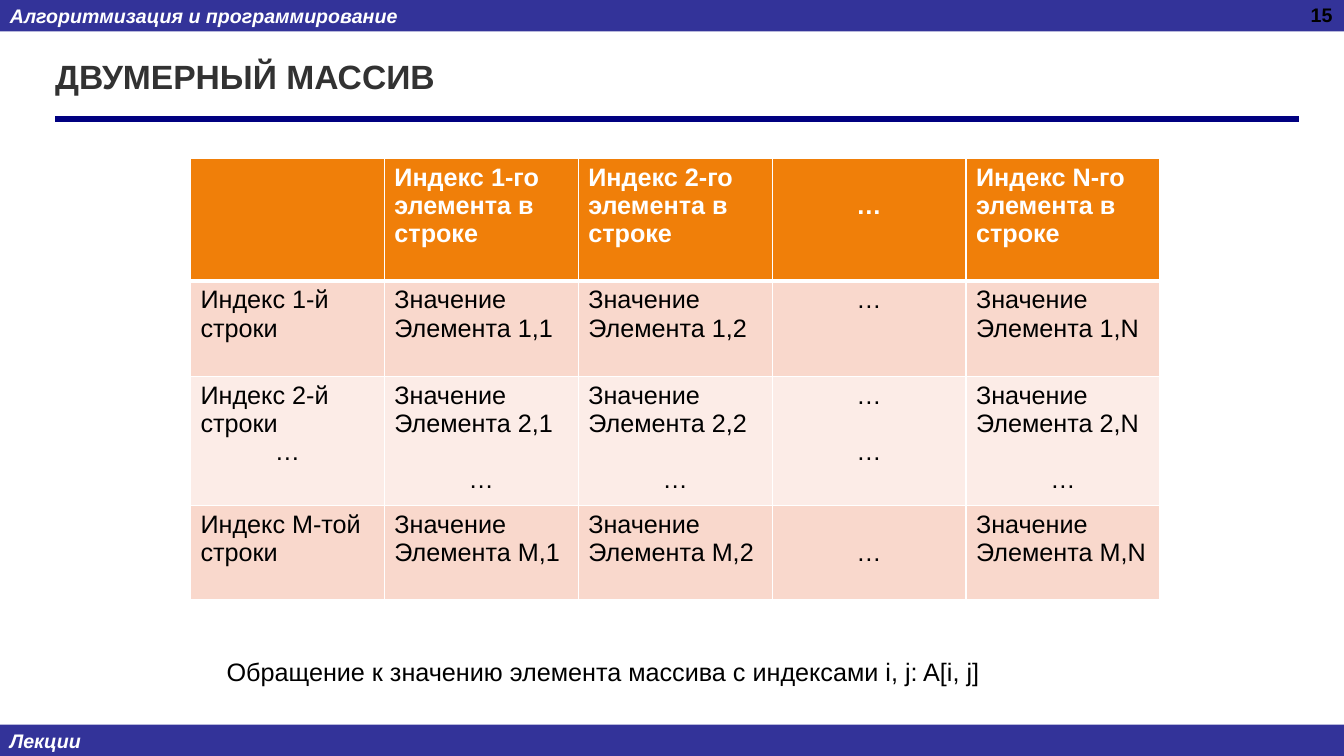
import pptx
import pptx.dml.color
import pptx.enum.shapes
import pptx.enum.text
import pptx.oxml.ns
import pptx.util
from lxml import etree

Cm, Pt = pptx.util.Cm, pptx.util.Pt
RGBColor = pptx.dml.color.RGBColor
ALIGN = pptx.enum.text.PP_ALIGN
ANCHOR = pptx.enum.text.MSO_ANCHOR
qn = pptx.oxml.ns.qn

WHITE = RGBColor(0xFF, 0xFF, 0xFF)
BLACK = RGBColor(0, 0, 0)
BAR = RGBColor(0x33, 0x33, 0x99)
RULE = RGBColor(0x00, 0x00, 0x80)
TITLE = RGBColor(0x32, 0x32, 0x32)
HEADER = RGBColor(0xF0, 0x7F, 0x09)
BAND_DARK = RGBColor(0xF9, 0xD8, 0xCC)
BAND_LIGHT = RGBColor(0xFC, 0xEC, 0xE7)

WIDTH, HEIGHT = Cm(33.87), Cm(19.05)
BAR_HEIGHT = Cm(0.79)
LINE_GAP = Pt(20)
CELL_MARGIN = Cm(0.13)

# An empty line in a cell stands for a gap of one line.
ROWS = [
    ["", "Индекс 1-го элемента в строке", "Индекс 2-го элемента в строке",
     "\n…", "Индекс N-го элемента в строке"],
    ["Индекс 1-й строки", "Значение Элемента 1,1", "Значение\nЭлемента 1,2",
     "…", "Значение\nЭлемента 1,N"],
    ["Индекс 2-й строки\n…", "Значение\nЭлемента 2,1\n\n…",
     "Значение\nЭлемента 2,2\n\n…", "…\n\n…", "Значение\nЭлемента 2,N\n\n…"],
    ["Индекс M-той строки", "Значение\nЭлемента М,1", "Значение\nЭлемента М,2",
     "\n…", "Значение\nЭлемента M,N"],
]
ROW_HEIGHTS = [Cm(3.09), Cm(2.4), Cm(3.1), Cm(2.38)]
ROW_FILLS = [HEADER, BAND_DARK, BAND_LIGHT, BAND_DARK]


def format_runs(tf, size, color, bold=False, italic=False):
    for p in tf.paragraphs:
        for r in p.runs:
            r.font.name = "Arial"
            r.font.size = Pt(size)
            r.font.bold = bold
            r.font.italic = italic
            r.font.color.rgb = color


def add_bar(s, top, text):
    sp = s.shapes.add_shape(pptx.enum.shapes.MSO_SHAPE.RECTANGLE,
                            0, top, WIDTH, BAR_HEIGHT)
    sp.shadow.inherit = False
    sp.fill.solid()
    sp.fill.fore_color.rgb = BAR
    sp.line.fill.background()
    tf = sp.text_frame
    tf.text = text
    tf.vertical_anchor = ANCHOR.MIDDLE
    tf.paragraphs[0].alignment = ALIGN.LEFT
    format_runs(tf, 14, WHITE, bold=True, italic=True)


def add_text(s, left, top, width, height, text, size, color, bold=False,
             align=ALIGN.LEFT, anchor=ANCHOR.TOP):
    tf = s.shapes.add_textbox(left, top, width, height).text_frame
    tf.word_wrap = True
    tf.vertical_anchor = anchor
    tf.text = text
    tf.paragraphs[0].alignment = align
    format_runs(tf, size, color, bold)


def add_title(s, left, top, width, height, text):
    """Title with a thick rule along the bottom of its box."""
    add_text(s, left, top, width, height, text, 24, TITLE, bold=True,
             anchor=ANCHOR.MIDDLE)
    inset, bottom = Cm(0.25), top + height
    rule = s.shapes.add_connector(pptx.enum.shapes.MSO_CONNECTOR.STRAIGHT,
                                  left + inset, bottom, Cm(32.74), bottom)
    rule.line.color.rgb = RULE
    rule.line.width = Pt(4.5)
    etree.SubElement(rule._element.spPr, qn("a:effectLst"))


def set_borders(cell, top, bottom):
    """White borders; top and bottom are widths in points."""
    tc_pr = cell._tc.get_or_add_tcPr()
    for side, width in (("L", 1), ("R", 1), ("T", top), ("B", bottom)):
        ln = etree.SubElement(tc_pr, qn("a:ln" + side), w=str(Pt(width)))
        fill = etree.SubElement(ln, qn("a:solidFill"))
        etree.SubElement(fill, qn("a:srgbClr"), val=str(WHITE))


def fill_cell_text(cell, text, color, bold):
    lines = text.split("\n")
    tf = cell.text_frame
    tf.text = "\n".join(line for line in lines if line)
    cell.margin_top = CELL_MARGIN
    if len(lines) > 1 and not lines[0]:
        cell.margin_top = CELL_MARGIN + LINE_GAP
    for p in tf.paragraphs:
        if p.text == "…":
            p.alignment = ALIGN.CENTER
            if "\n\n…" in text and p is not tf.paragraphs[0]:
                p.space_before = LINE_GAP if p._p.getprevious().tag == qn("a:p") else Pt(0)
    format_runs(tf, 18, color, bold)


def add_array_table(s, left, top, width):
    table = s.shapes.add_table(len(ROWS), len(ROWS[0]), left, top, width,
                               sum(ROW_HEIGHTS)).table
    for i, row in enumerate(ROWS):
        table.rows[i].height = ROW_HEIGHTS[i]
        for j, text in enumerate(row):
            cell = table.cell(i, j)
            set_borders(cell, top=3 if i == 1 else 1, bottom=3 if i == 0 else 1)
            cell.fill.solid()
            cell.fill.fore_color.rgb = ROW_FILLS[i]
            fill_cell_text(cell, text, BLACK if i else WHITE, bold=i == 0)


def main():
    prs = pptx.Presentation()
    prs.slide_width, prs.slide_height = WIDTH, HEIGHT
    s = prs.slides.add_slide(prs.slide_layouts[6])
    add_bar(s, 0, "Алгоритмизация и программирование")
    add_bar(s, HEIGHT - BAR_HEIGHT, "Лекции")
    add_title(s, Cm(1.14), Cm(0.84), Cm(31.01), Cm(2.16), "ДВУМЕРНЫЙ МАССИВ")
    add_text(s, Cm(25.93), Cm(-0.05), Cm(7.9), Cm(1.32), "15", 14, BLACK,
             bold=True, align=ALIGN.RIGHT)
    add_array_table(s, Cm(4.8), Cm(3.99), Cm(24.43))
    add_text(s, Cm(5.46), Cm(16.41), Cm(24.54), Cm(1.02),
             "Обращение к значению элемента массива с индексами i, j: A[i, j]",
             18, BLACK)
    prs.save("out.pptx")


if __name__ == "__main__":
    main()
